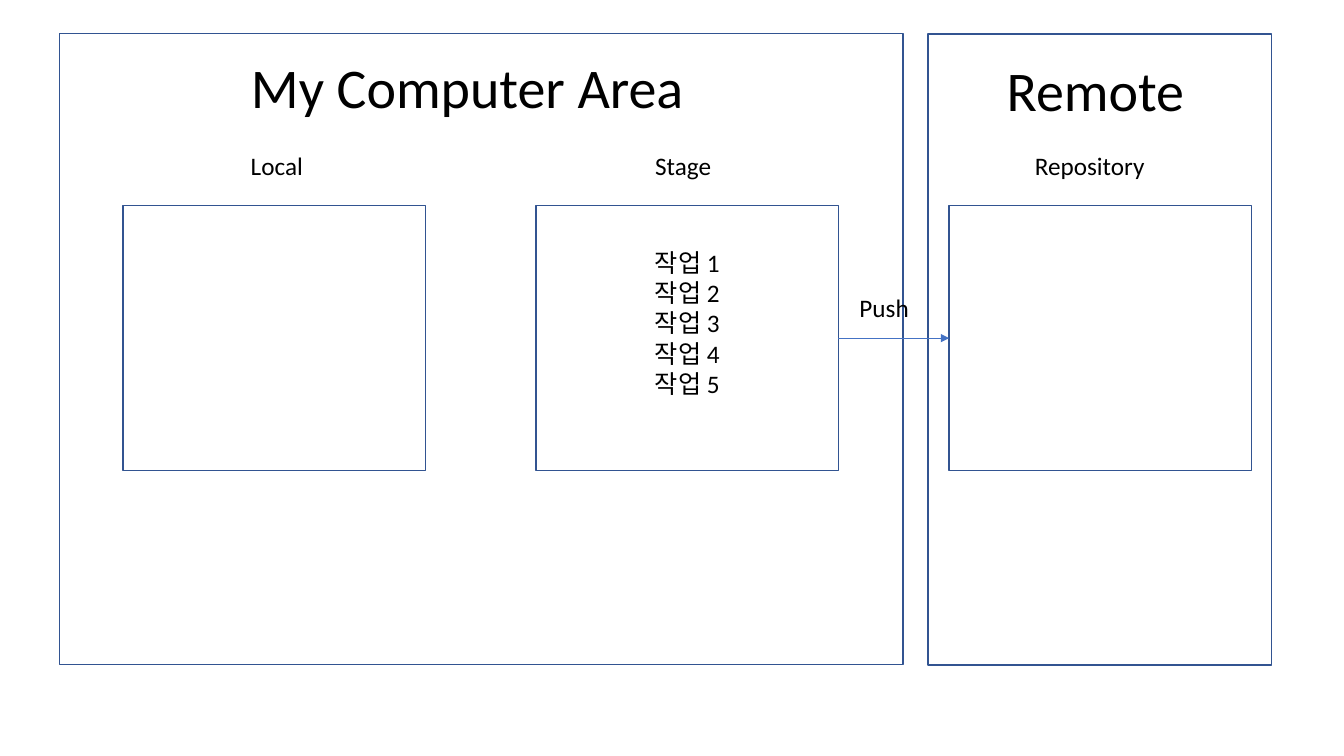
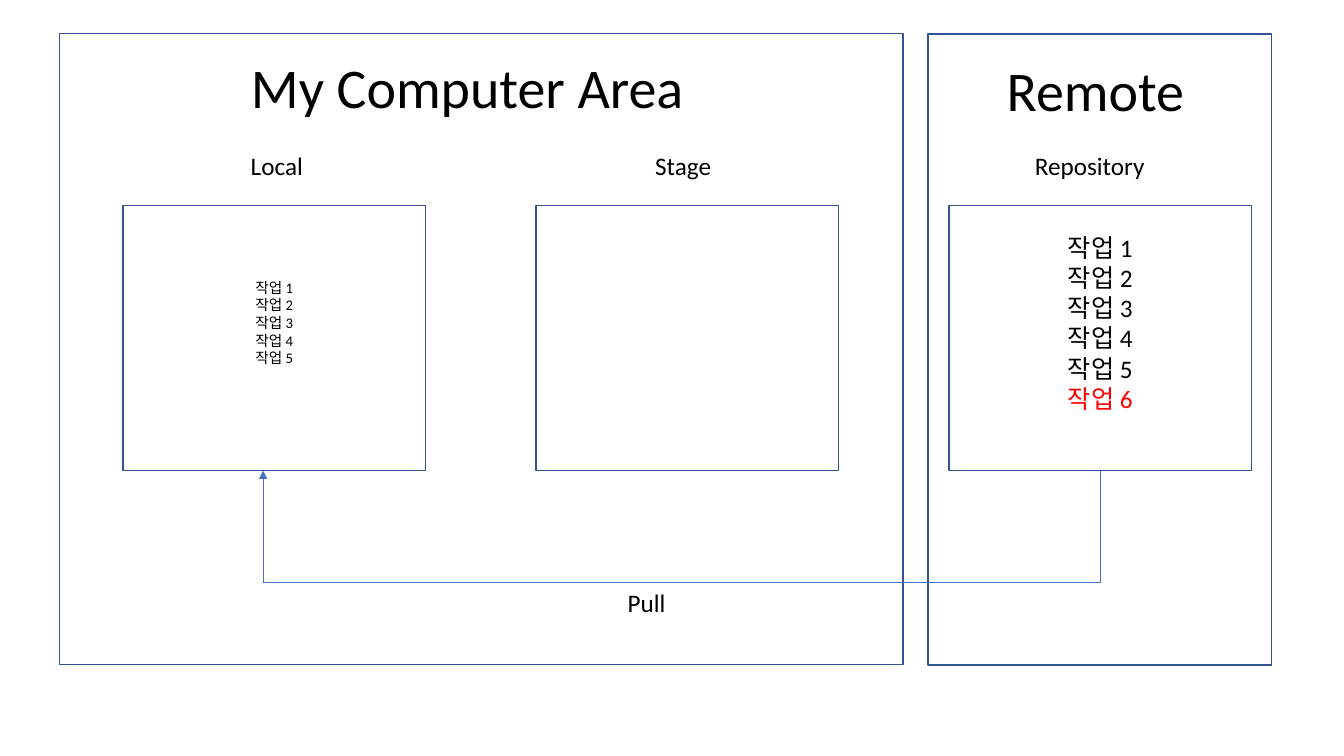
"""Draw push and pull between a computer and a remote store."""
from typing import NamedTuple

from lxml.etree import SubElement
from pptx import Presentation
from pptx.dml.color import RGBColor
from pptx.enum.shapes import MSO_CONNECTOR, MSO_SHAPE
from pptx.enum.text import MSO_ANCHOR, MSO_AUTO_SIZE, PP_ALIGN
from pptx.oxml.ns import qn
from pptx.util import Cm, Pt

FONT = "Calibri"
BLACK, WHITE, RED = "000000", "FFFFFF", "FF0000"
EDGE, ARROW = "325491", "4472C4"
LEFT, TOP, STEP = 3.1, 5.18, 10.41
WIDTH, HEIGHT = 7.62, 6.68
FOOT = TOP + HEIGHT
TURN = 14.68
LOCAL, STAGE, STORE = range(3)


class Area(NamedTuple):
    """A place on the slide in centimetres."""
    x: float
    y: float
    w: float
    h: float


class Label(NamedTuple):
    """A line of text, its place and its size."""
    text: str
    area: Area
    size: float = 18


class Tasks(NamedTuple):
    """A task list, the box that holds it and its size."""
    box: int
    count: int
    size: float = 18
    fresh: int = 0


PANELS = [Area(23.39, 0.86, 8.66, 15.9), Area(1.5, 0.84, 21.26, 15.9)]
BOXES = [Area(LEFT + i * STEP, TOP, WIDTH, HEIGHT) for i in range(3)]
TITLE = Label("My Computer Area", Area(6.07, 1.19, 15.06, 1.96), 40)
HEADS = [
    Label("Remote", Area(25.12, 1.27, 5.23, 1.96), 40),
    Label("Local", Area(6.07, 3.66, 3.23, 1.02)),
    Label("Stage", Area(16.26, 3.66, 3.23, 1.02)),
    Label("Repository", Area(25.83, 3.66, 3.81, 1.02)),
]
PUSH = Label("Push", Area(21.41, 7.24, 3.23, 1.02))
PULL = Label("Pull", Area(15.57, TURN, 3.23, 1.02))


def paint(part, tone: str) -> None:
    """Colour a solid fill."""
    part.solid()
    part.fore_color.rgb = RGBColor.from_string(tone)


def style(para, size: float, tone: str = BLACK) -> None:
    """Format the runs of a paragraph."""
    for run in para.runs:
        run.font.name = FONT
        run.font.size = Pt(size)
        run.font.color.rgb = RGBColor.from_string(tone)


def place(shape, area: Area) -> None:
    """Move a shape to its area."""
    shape.left, shape.top = Cm(area.x), Cm(area.y)
    shape.width, shape.height = Cm(area.w), Cm(area.h)


def write(shape, label: Label) -> None:
    """Set a label in a text box or title."""
    place(shape, label.area)
    frame = shape.text_frame
    frame.text = label.text
    frame.word_wrap = True
    frame.auto_size = MSO_AUTO_SIZE.SHAPE_TO_FIT_TEXT
    frame.vertical_anchor = MSO_ANCHOR.TOP
    frame.paragraphs[0].alignment = PP_ALIGN.LEFT
    style(frame.paragraphs[0], label.size)


def add_label(slide, label: Label) -> None:
    """Add a text box with a label."""
    write(slide.shapes.add_textbox(0, 0, Cm(1), Cm(1)), label)


def add_box(slide, area: Area):
    """Add a white box with a blue edge."""
    box = slide.shapes.add_shape(MSO_SHAPE.RECTANGLE, 0, 0, Cm(1), Cm(1))
    place(box, area)
    box.shadow.inherit = False
    paint(box.fill, WHITE)
    paint(box.line.fill, EDGE)
    box.line.width = Pt(1)
    return box


def add_line(slide, x1: float, y1: float, x2: float, y2: float,
             head: bool = False):
    """Add a thin line, with an arrowhead if asked."""
    line = slide.shapes.add_connector(
        MSO_CONNECTOR.STRAIGHT, Cm(x1), Cm(y1), Cm(x2), Cm(y2))
    paint(line.line.fill, ARROW)
    line.line.width = Pt(0.5)
    if head:
        SubElement(line.line._get_or_add_ln(), qn("a:tailEnd"), type="triangle")
    SubElement(line._element.spPr, qn("a:effectLst"))
    return line


def fill_box(box, tasks: Tasks) -> None:
    """List the tasks in a box, the fresh ones in red."""
    frame = box.text_frame
    frame.text = "\n".join(f"작업 {n}" for n in range(1, tasks.count + 1))
    frame.word_wrap = True
    frame.vertical_anchor = MSO_ANCHOR.MIDDLE
    frame.margin_bottom = Cm(0.9)
    for n, para in enumerate(frame.paragraphs, 1):
        para.alignment = PP_ALIGN.CENTER
        late = n > tasks.count - tasks.fresh
        style(para, tasks.size, RED if late else BLACK)


def add_scene(deck, lists: list[Tasks]) -> tuple:
    """Add a slide with its areas, heads and task lists."""
    slide = deck.slides.add_slide(deck.slide_layouts[5])
    for area in PANELS:
        add_box(slide, area)
    title = slide.shapes.title
    write(title, TITLE)
    slide.shapes._spTree.append(title._element)
    boxes = [add_box(slide, area) for area in BOXES]
    for tasks in lists:
        fill_box(boxes[tasks.box], tasks)
    for head in HEADS:
        add_label(slide, head)
    return slide, boxes


def add_push(deck) -> None:
    """Show tasks pushed from the stage."""
    slide, boxes = add_scene(deck, [Tasks(STAGE, 5)])
    mid = TOP + HEIGHT / 2
    line = add_line(slide, BOXES[STAGE].x + WIDTH, mid,
                    BOXES[STORE].x, mid, head=True)
    line.begin_connect(boxes[STAGE], 3)
    line.end_connect(boxes[STORE], 1)
    add_label(slide, PUSH)


def add_pull(deck) -> None:
    """Show tasks pulled back to the local box."""
    lists = [Tasks(LOCAL, 5, 10.5), Tasks(STORE, 6, fresh=1)]
    slide, boxes = add_scene(deck, lists)
    start, goal = BOXES[STORE].x + WIDTH / 2, 6.63
    drop = add_line(slide, start, FOOT, start, TURN)
    drop.begin_connect(boxes[STORE], 2)
    add_line(slide, start, TURN, goal, TURN)
    add_line(slide, goal, TURN, goal, FOOT, head=True)
    add_label(slide, PULL)


def main() -> None:
    """Build and save the deck."""
    deck = Presentation()
    deck.slide_width, deck.slide_height = Cm(33.87), Cm(19.05)
    add_push(deck)
    add_pull(deck)
    deck.save("out.pptx")


if __name__ == "__main__":
    main()
